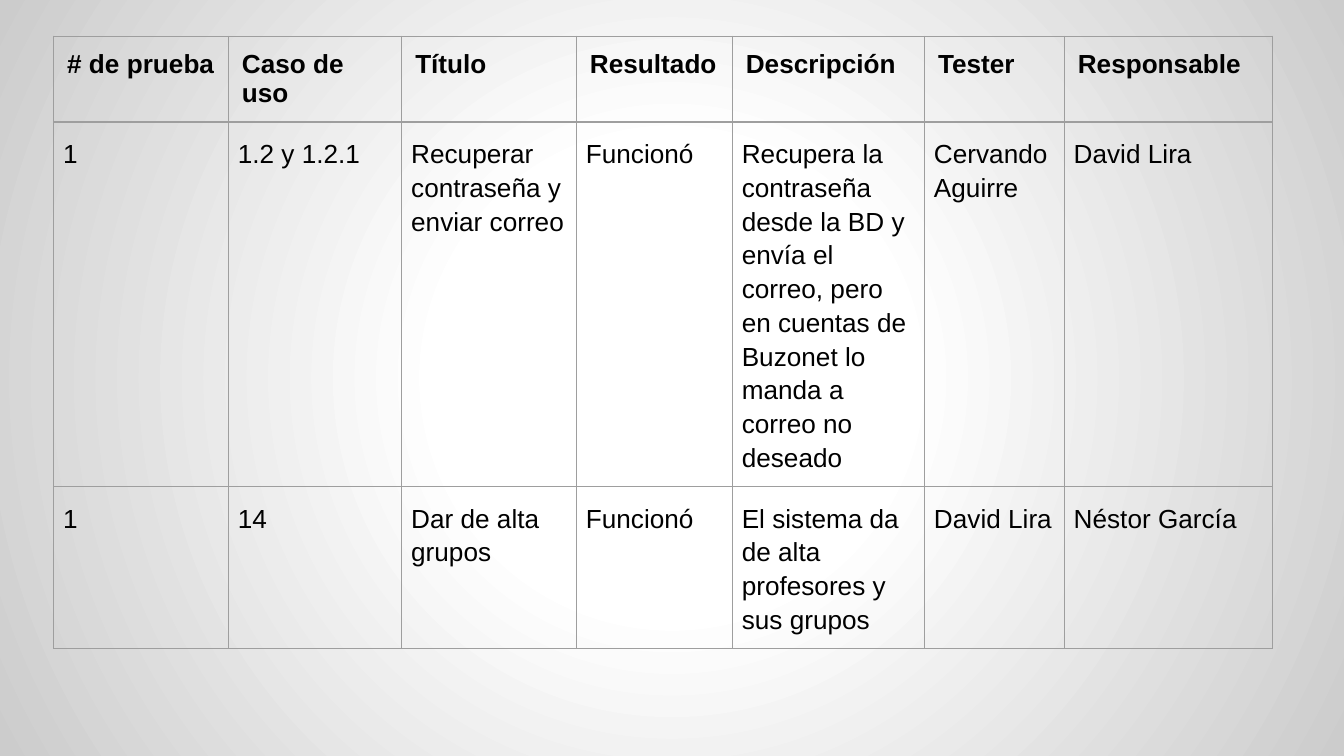
from lxml import etree
from pptx import Presentation
from pptx.dml.color import RGBColor
from pptx.oxml import parse_xml
from pptx.oxml.ns import nsdecls, qn
from pptx.util import Inches, Pt

BLACK = RGBColor(0x00, 0x00, 0x00)
WHITE = RGBColor(0xFF, 0xFF, 0xFF)
SILVER = RGBColor(0xCC, 0xCC, 0xCC)
BORDER_GRAY = RGBColor(0x9E, 0x9E, 0x9E)

FONT = "Arial"
BLANK_LAYOUT = 6
PAGE_WIDTH = 10
PAGE_HEIGHT = PAGE_WIDTH * 9 / 16
COLUMN_WIDTHS = [1.3, 1.29, 1.3, 1.16, 1.43, 1.04, 1.55]
ROW_HEIGHTS = [0.61, 2.7, 0.6]

TEST_RESULTS = [
    ["# de prueba", "Caso de uso", "Título", "Resultado", "Descripción",
     "Tester", "Responsable"],
    ["1", "1.2 y 1.2.1", "Recuperar contraseña y enviar correo", "Funcionó",
     "Recupera la contraseña desde la BD y envía el correo, pero en cuentas "
     "de Buzonet lo manda a correo no deseado",
     "Cervando Aguirre", "David Lira"],
    ["1", "14", "Dar de alta grupos", "Funcionó",
     "El sistema da de alta profesores y sus grupos",
     "David Lira", "Néstor García"],
]


def set_radial_background(page, stops):
    """Fill the page with a circular gradient around its centre."""
    page.background.fill.gradient()
    linear = page.element.find(".//" + qn("a:gradFill"))
    stop_xml = "".join(
        f'<a:gs pos="{percent * 1000}"><a:srgbClr val="{color}"/></a:gs>'
        for percent, color in stops)
    radial = parse_xml(
        f'<a:gradFill {nsdecls("a")} rotWithShape="0">'
        f'<a:gsLst>{stop_xml}</a:gsLst>'
        '<a:path path="circle">'
        '<a:fillToRect l="50000" t="50000" r="50000" b="50000"/>'
        '</a:path></a:gradFill>')
    linear.getparent().replace(linear, radial)


def set_borders(cell, color, width):
    """Draw the same line on all four sides of a cell."""
    properties = cell._tc.get_or_add_tcPr()
    for side in ("a:lnL", "a:lnR", "a:lnT", "a:lnB"):
        line = etree.SubElement(properties, qn(side), w=str(width))
        fill = etree.SubElement(line, qn("a:solidFill"))
        etree.SubElement(fill, qn("a:srgbClr"), val=str(color))


def fill_cell(cell, text, is_header):
    """Write and format one cell of the results table."""
    set_borders(cell, BORDER_GRAY, Pt(0.75))
    cell.fill.background()
    cell.margin_left = cell.margin_right = Inches(0.1 if is_header else 0.07)
    cell.margin_top = cell.margin_bottom = Inches(0.1)
    cell.text_frame.text = text
    para = cell.text_frame.paragraphs[0]
    if not is_header:
        para.line_spacing = 1.15
    font = para.runs[0].font
    font.name = FONT
    font.size = Pt(14)
    font.bold = is_header
    font.color.rgb = BLACK


def add_results_table(page, left, top):
    """Add the table and fill it row by row."""
    frame = page.shapes.add_table(
        len(ROW_HEIGHTS), len(COLUMN_WIDTHS), Inches(left), Inches(top),
        Inches(sum(COLUMN_WIDTHS)), Inches(sum(ROW_HEIGHTS)))
    table = frame.table
    table.first_row = table.horz_banding = False
    for column, width in zip(table.columns, COLUMN_WIDTHS):
        column.width = Inches(width)
    for row_index, (row, height) in enumerate(zip(table.rows, ROW_HEIGHTS)):
        row.height = Inches(height)
        for cell, text in zip(row.cells, TEST_RESULTS[row_index]):
            fill_cell(cell, text, is_header=row_index == 0)


def main():
    deck = Presentation()
    deck.slide_width = Inches(PAGE_WIDTH)
    deck.slide_height = Inches(PAGE_HEIGHT)
    page = deck.slides.add_slide(deck.slide_layouts[BLANK_LAYOUT])

    # Background
    set_radial_background(page, [(0, WHITE), (30, WHITE), (100, SILVER)])

    # Test results
    add_results_table(page, 0.4, 0.27)

    deck.save("out.pptx")


if __name__ == "__main__":
    main()
